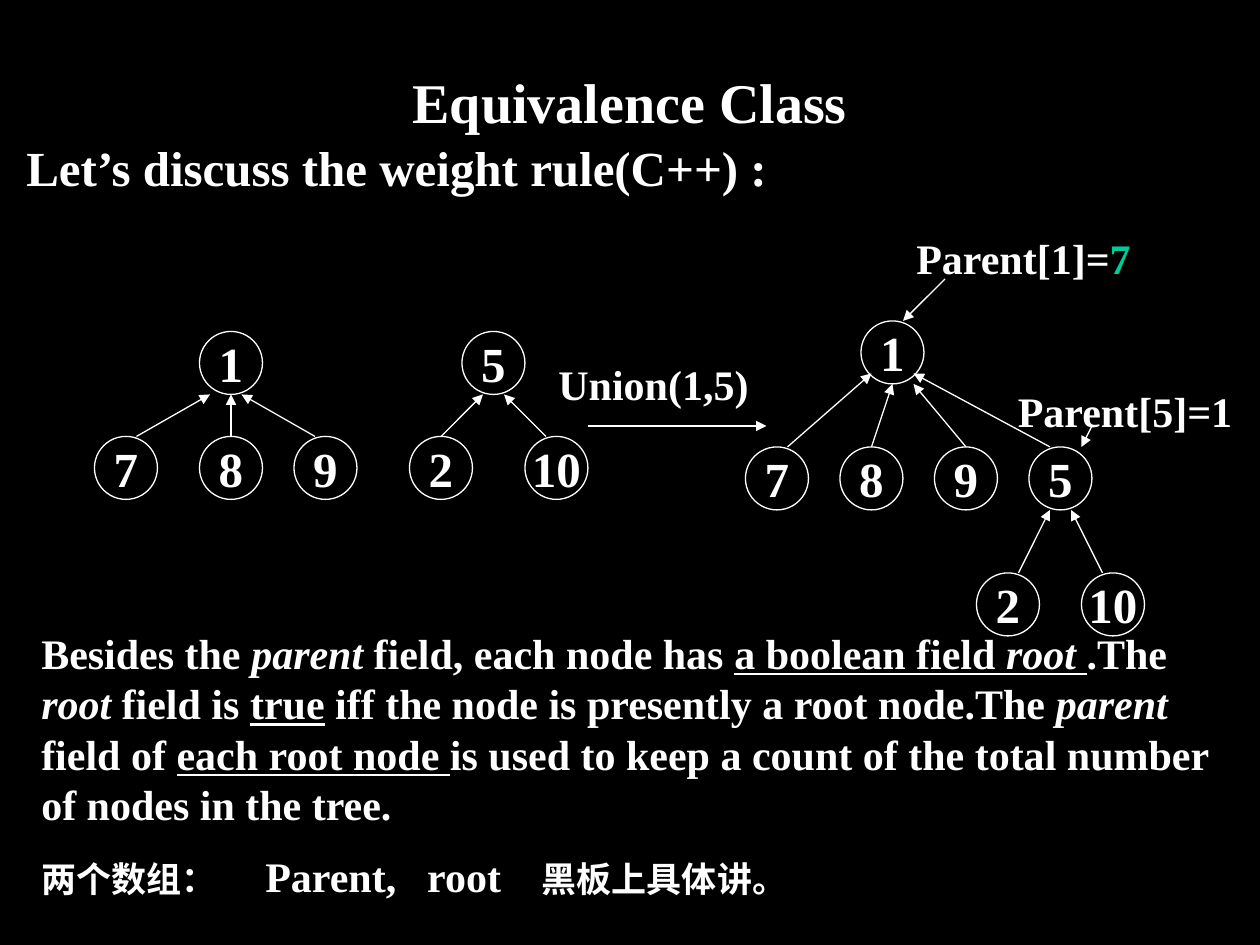
"""Build the slide on the weight rule for uniting equivalence class trees."""
from typing import NamedTuple

from lxml import etree
from pptx import Presentation
from pptx import util as u
from pptx.dml.color import RGBColor
from pptx.enum import shapes, text
from pptx.oxml import ns

BLACK = RGBColor(0x00, 0x00, 0x00)
WHITE = RGBColor(0xFF, 0xFF, 0xFF)
GREEN = RGBColor(0x00, 0xCC, 0x99)
FONT = "Times New Roman"
DIAMETER = 36
LINE_WIDTH = 0.75
LEFT_ROOT, LEFT_LEAF = 189.4, 249.4
UNION_ROOT, UNION_CHILD, UNION_LEAF = 183.4, 255.4, 327.4
LEFT_JOIN = LEFT_ROOT + DIAMETER
UNION_JOIN = UNION_ROOT + DIAMETER
CHILD_JOIN = UNION_CHILD + DIAMETER
NOTE_TABS = (128, 220.5, 286)


class Run(NamedTuple):
    words: str
    size: float = 24
    italic: bool = False
    underline: bool = False
    color: RGBColor = WHITE


class Node(NamedTuple):
    label: str
    left: float
    top: float


class Arrow(NamedTuple):
    start_x: float
    start_y: float
    end_x: float
    end_y: float


class Label(NamedTuple):
    runs: list[Run]
    left: float
    top: float
    width: float
    wrap: bool = True


NODES = [
    Node("1", 114, LEFT_ROOT),
    *(Node(label, left, LEFT_LEAF) for label, left in (("7", 54), ("8", 114), ("9", 168))),
    *(Node(label, left, LEFT_LEAF) for label, left in (("2", 234), ("10", 300))),
    Node("5", 264, LEFT_ROOT),
    Node("1", 492, UNION_ROOT),
    *(Node(label, 426 + 54 * i, UNION_CHILD) for i, label in enumerate("7895")),
    Node("2", 558, UNION_LEAF),
    Node("10", 618, UNION_LEAF),
]

ARROWS = [
    *(Arrow(start, LEFT_LEAF, end, LEFT_JOIN)
      for start, end in ((78, 120), (132, 132), (180, 138), (252, 276), (312, 288))),
    Arrow(450, UNION_CHILD, 498, UNION_JOIN - 6),
    Arrow(498, UNION_CHILD, 510, UNION_JOIN),
    Arrow(552, UNION_CHILD, 522, UNION_JOIN),
    Arrow(600, UNION_CHILD, 522, UNION_JOIN - 6),
    Arrow(582, UNION_LEAF, 600, CHILD_JOIN),
    Arrow(630, UNION_LEAF, 612, CHILD_JOIN),
    Arrow(336, 243.4, 438, 243.4),
    Arrow(624, 243.4, 618, UNION_CHILD),
    Arrow(540, 159.4, 516, UNION_ROOT),
]

LABELS = [
    Label([Run("Parent[5]=1")], 574.5, 216.7, 162),
    Label([Run("Parent[1]="), Run("7", color=GREEN)], 516.5, 129.4, 137.5, wrap=False),
    Label([Run("Union(1,5)")], 312, 201.4, 144),
]

EXPLANATION = [
    Run("Besides the "),
    Run("parent", italic=True),
    Run(" field, each node has "),
    Run("a boolean field ", underline=True),
    Run("root ", italic=True, underline=True),
    Run(".The "),
    Run("root", italic=True),
    Run(" field is "),
    Run("true", underline=True),
    Run(" iff the node is presently a root node.The "),
    Run("parent", italic=True),
    Run(" field of "),
    Run("each root node ", underline=True),
    Run("is used to keep a count of the total number of nodes in the tree."),
]

ARRAYS_NOTE = [
    Run("两个数组：", 20),
    Run("\tParent,\troot\t"),
    Run("黑板上具体讲。", 20),
]


def write(paragraph, runs: list[Run], *, align=text.PP_ALIGN.LEFT, before: float = 0) -> None:
    paragraph.alignment = align
    paragraph.space_before = u.Pt(before)
    for item in runs:
        run = paragraph.add_run()
        run.text = item.words
        font = run.font
        font.name, font.size, font.bold = FONT, u.Pt(item.size), True
        font.italic, font.underline = item.italic, item.underline
        font.color.rgb = item.color


def add_text_box(slide, left: float, top: float, width: float, height: float, wrap: bool = True):
    frame = slide.shapes.add_textbox(u.Pt(left), u.Pt(top), u.Pt(width), u.Pt(height)).text_frame
    frame.word_wrap = wrap
    return frame


def draw_label(slide, label: Label) -> None:
    frame = add_text_box(slide, label.left, label.top, label.width, 36, label.wrap)
    write(frame.paragraphs[0], label.runs, before=15)


def draw_node(slide, node: Node) -> None:
    shape = slide.shapes.add_shape(
        shapes.MSO_SHAPE.OVAL, u.Pt(node.left), u.Pt(node.top), u.Pt(DIAMETER), u.Pt(DIAMETER))
    shape.shadow.inherit = False
    shape.fill.background()
    shape.line.color.rgb = WHITE
    shape.line.width = u.Pt(LINE_WIDTH)
    frame = shape.text_frame
    frame.word_wrap = False
    frame.vertical_anchor = text.MSO_ANCHOR.MIDDLE
    write(frame.paragraphs[0], [Run(node.label, 28)], align=text.PP_ALIGN.CENTER, before=7)


def draw_arrow(slide, arrow: Arrow) -> None:
    connector = slide.shapes.add_connector(
        shapes.MSO_CONNECTOR.STRAIGHT, *(u.Pt(value) for value in arrow))
    connector.line.color.rgb = WHITE
    connector.line.width = u.Pt(LINE_WIDTH)
    properties = connector.element.spPr
    etree.SubElement(properties.find(ns.qn("a:ln")), ns.qn("a:tailEnd"), type="triangle")
    etree.SubElement(properties, ns.qn("a:effectLst"))


def set_tabs(paragraph, positions: tuple[float, ...]) -> None:
    tabs = etree.SubElement(paragraph._p.get_or_add_pPr(), ns.qn("a:tabLst"))
    for position in positions:
        etree.SubElement(tabs, ns.qn("a:tab"), pos=str(u.Pt(position)), algn="l")


def main() -> None:
    presentation = Presentation()
    presentation.slide_width, presentation.slide_height = u.Pt(720), u.Pt(540)
    slide = presentation.slides.add_slide(presentation.slide_layouts[6])
    slide.background.fill.solid()
    slide.background.fill.fore_color.rgb = BLACK

    title = add_text_box(slide, 54, 28, 612, 60)
    title.vertical_anchor = text.MSO_ANCHOR.MIDDLE
    write(title.paragraphs[0], [Run("Equivalence Class", 32)], align=text.PP_ALIGN.CENTER)
    topic = add_text_box(slide, 0, 71.3, 720, 288)
    write(topic.paragraphs[0],
          [Run(" ", 32), Run("Let’s discuss the weight rule(C++) :", 28)], before=7)

    for label in LABELS:
        draw_label(slide, label)
    for node in NODES:
        draw_node(slide, node)
    for arrow in ARROWS:
        draw_arrow(slide, arrow)

    explanation = add_text_box(slide, 16.5, 355, 686, 164)
    write(explanation.paragraphs[0], EXPLANATION, before=15)
    note = explanation.add_paragraph()
    write(note, ARRAYS_NOTE, before=12.5)
    set_tabs(note, NOTE_TABS)
    presentation.save("out.pptx")


if __name__ == "__main__":
    main()
